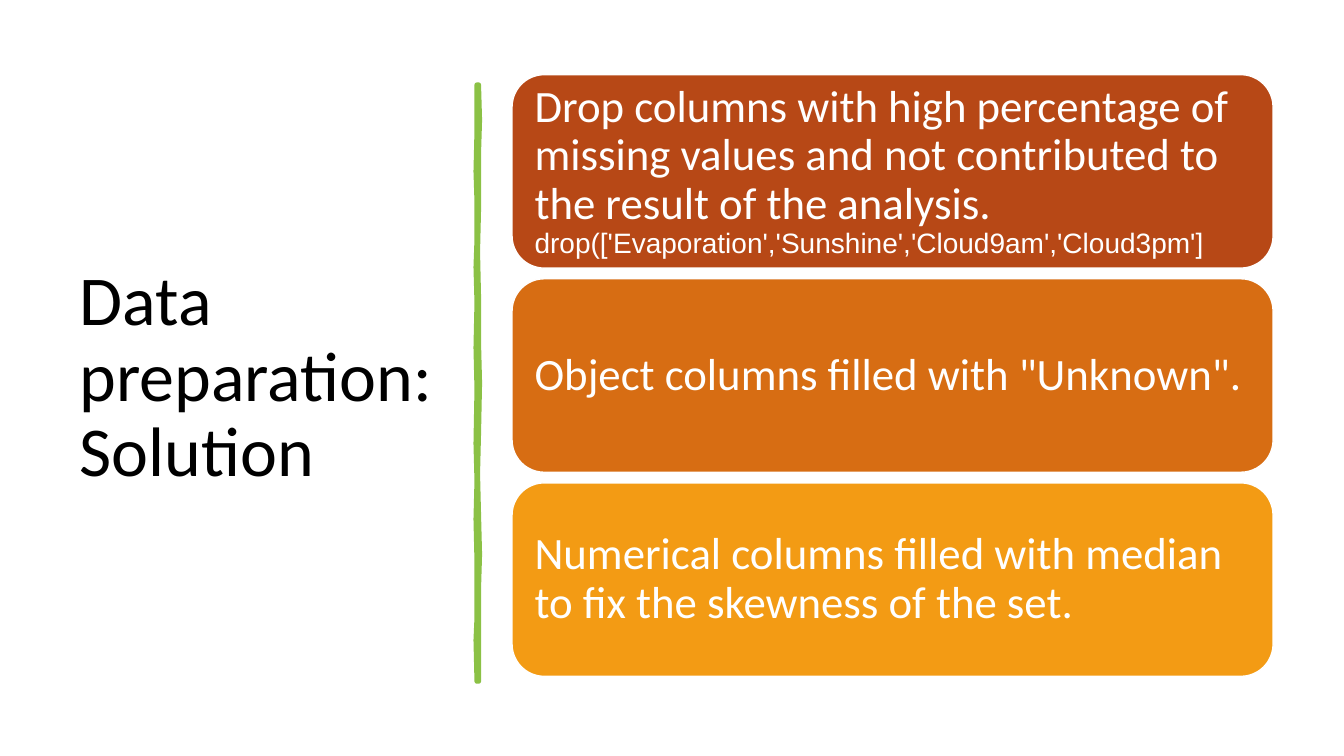
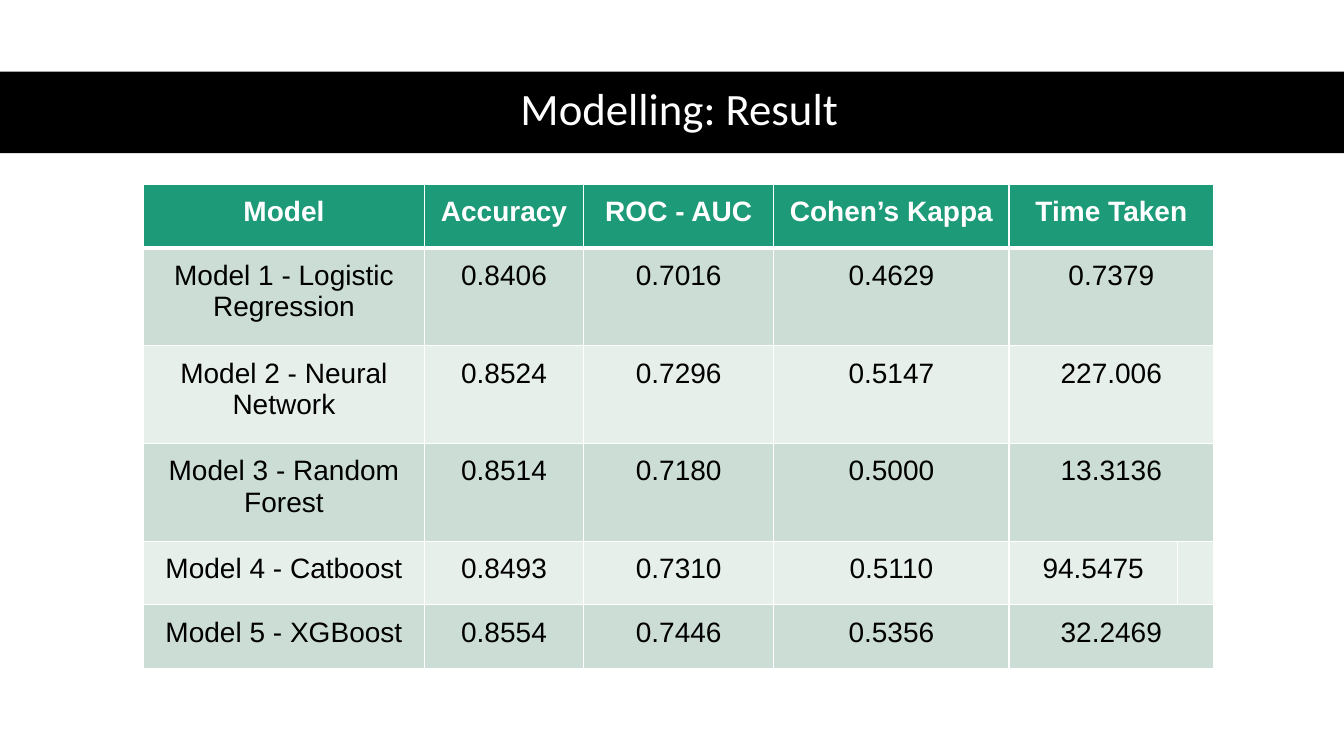
from pptx import Presentation
from pptx.dml.color import RGBColor
from pptx.enum.shapes import MSO_SHAPE as Shape
from pptx.enum.text import MSO_ANCHOR as Anchor, PP_ALIGN as Align
from pptx.oxml.ns import qn
from pptx.util import Inches, Pt
from lxml.etree import SubElement

COLORS = {
    "ink": "000000", "paper": "FFFFFF", "brush": "8BC145",
    "rust": "B74816", "orange": "D76D13", "amber": "F39B14",
    "header": "1D9A78", "row_dark": "CBDDD5", "row_light": "E7EFEB",
}
HEADING, BODY = "Calibri", "Arial"


class Deck:
    """Holds the style and the current slide; lengths are percent of the slide."""

    def __init__(self):
        self.prs = Presentation()
        self.prs.slide_width, self.prs.slide_height = Inches(13.333), Inches(7.5)

    def new_slide(self):
        self.slide = self.prs.slides.add_slide(self.prs.slide_layouts[6])

    def x(self, share):
        return round(self.prs.slide_width * share / 100)

    def y(self, share):
        return round(self.prs.slide_height * share / 100)

    def area(self, left, top, width, height):
        return self.x(left), self.y(top), self.x(width), self.y(height)

    def color(self, name):
        return RGBColor.from_string(COLORS[name])

    def paint(self, shape, fill, line=None, width=1):
        shape.shadow.inherit = False
        shape.fill.solid()
        shape.fill.fore_color.rgb = self.color(fill)
        if line:
            shape.line.color.rgb = self.color(line)
            shape.line.width = Pt(width)
        else:
            shape.line.fill.background()

    def add_text(self, frame, lines, color, align=Align.LEFT, spacing=None, bold=False):
        """Add one paragraph per (text, size, font)."""
        frame.word_wrap = True
        for i, (text, size, font) in enumerate(lines):
            para = frame.add_paragraph() if i else frame.paragraphs[0]
            para.alignment = align
            if spacing:
                para.line_spacing = spacing
            run = para.add_run()
            run.text = text
            run.font.size, run.font.name, run.font.bold = Pt(size), font, bold
            run.font.color.rgb = self.color(color)

    def title(self, text, area, size, color="ink", align=Align.LEFT):
        frame = self.slide.shapes.add_textbox(*self.area(*area)).text_frame
        frame.vertical_anchor = Anchor.MIDDLE
        self.add_text(frame, [(text, size, HEADING)], color, align, 0.9)

    def band(self, area, fill):
        shape = self.slide.shapes.add_shape(Shape.RECTANGLE, *self.area(*area))
        self.paint(shape, fill)

    def card(self, lines, area, fill):
        card = self.slide.shapes.add_shape(Shape.ROUNDED_RECTANGLE, *self.area(*area))
        card.adjustments[0] = 0.167
        self.paint(card, fill, "paper")
        frame = card.text_frame
        frame.margin_left = frame.margin_right = Inches(0.13)
        frame.margin_top = frame.margin_bottom = Inches(0.13)
        frame.vertical_anchor = Anchor.MIDDLE
        self.add_text(frame, lines, "paper", spacing=0.9)

    def brush_stroke(self, outline, color):
        """Draw a closed outline whose points are in hundredths of an inch."""
        pen = self.slide.shapes.build_freeform(*outline[0], scale=Inches(1) / 100)
        pen.add_line_segments(outline[1:], close=True)
        self.paint(pen.convert_to_shape(), color, color, 3.25)

    def border(self, cell, side, width):
        edge = SubElement(cell._tc.get_or_add_tcPr(), qn("a:ln" + side), w=str(Pt(width)))
        fill = SubElement(edge, qn("a:solidFill"))
        SubElement(fill, qn("a:srgbClr"), val=COLORS["paper"])

    def table(self, rows, left, top, col_shares, row_shares):
        size = sum(col_shares), sum(row_shares)
        table = self.slide.shapes.add_table(
            len(rows), len(col_shares), *self.area(left, top, *size)).table
        for column, share in zip(table.columns, col_shares):
            column.width = self.x(share)
        for r, (values, share) in enumerate(zip(rows, row_shares)):
            table.rows[r].height = self.y(share)
            fill = "header" if r == 0 else "row_dark" if r % 2 else "row_light"
            for c in range(len(col_shares)):
                cell = table.cell(r, c)
                # Borders go before the fill; the header has a heavier lower edge
                for side in "LRTB":
                    heavy = (r, side) in ((0, "B"), (1, "T"))
                    self.border(cell, side, 3 if heavy else 1)
                cell.fill.solid()
                cell.fill.fore_color.rgb = self.color(fill)
                cell.margin_left = cell.margin_right = Inches(0.12)
                cell.margin_top = cell.margin_bottom = Inches(0.12)
                if c < len(values) and values[c]:
                    self.add_text(cell.text_frame, [(values[c], 20, BODY)],
                                  "ink" if r else "paper", Align.CENTER, bold=r == 0)
            # A short row lets its last value span the remaining columns
            if len(values) < len(col_shares):
                table.cell(r, len(values) - 1).merge(table.cell(r, len(col_shares) - 1))


def preparation_slide(deck):
    deck.new_slide()
    deck.title("Data preparation: Solution", (5.18, 9.33, 28.05, 81.47), 50)

    # Hand-drawn divider: down the right edge, back up the left
    right = [(475, 84), (476, 119), (475, 152), (475, 208), (474, 250), (475, 294),
             (475, 340), (476, 380), (475, 430), (474, 470), (475, 510), (476, 550),
             (475, 584), (475, 630), (475, 676)]
    left = [(473, 676), (472, 635), (473, 613), (473, 557), (472, 515), (473, 477),
            (472, 440), (473, 386), (472, 345), (473, 300), (472, 265), (473, 238),
            (473, 200), (472, 170), (473, 130), (473, 84)]
    deck.brush_stroke(right + left, "brush")

    # Three steps, evenly stacked
    steps = [
        ("rust", [("Drop columns with high percentage of missing values and not "
                   "contributed to the result of the analysis.", 32, HEADING),
                  ("drop(['Evaporation','Sunshine','Cloud9am','Cloud3pm']", 20, BODY)]),
        ("orange", [('Object columns filled with "Unknown".', 32, HEADING)]),
        ("amber", [("Numerical columns filled with median to fix the skewness "
                    "of the set.", 32, HEADING)]),
    ]
    for i, (fill, lines) in enumerate(steps):
        deck.card(lines, (38.1, 9.87 + 27 * i, 56.63, 25.6), fill)


def result_slide(deck):
    deck.new_slide()
    deck.band((0, 9.47, 100, 10.8), "ink")
    deck.title("Modelling: Result", (4.58, 9.33, 91.95, 10.8), 32, "paper", Align.CENTER)

    # Scores per model
    scores = [
        ("Model", "Accuracy", "ROC - AUC", "Cohen’s Kappa", "Time Taken"),
        ("Model 1 - Logistic Regression", "0.8406", "0.7016", "0.4629", "0.7379"),
        ("Model 2 - Neural Network", "0.8524", "0.7296", "0.5147", "227.006"),
        ("Model 3 - Random Forest", "0.8514", "0.7180", "0.5000", "13.3136"),
        ("Model 4 - Catboost", "0.8493", "0.7310", "0.5110", "94.5475", ""),
        ("Model 5 - XGBoost", "0.8554", "0.7446", "0.5356", "32.2469"),
    ]
    low, tall = 8.4, 12.93
    deck.table(scores, 10.68, 24.4, (20.9, 11.85, 14.15, 17.5, 12.53, 2.7),
               (low, tall, tall, tall, low, low))


def main():
    deck = Deck()
    preparation_slide(deck)
    result_slide(deck)
    deck.prs.save("out.pptx")


if __name__ == "__main__":
    main()
